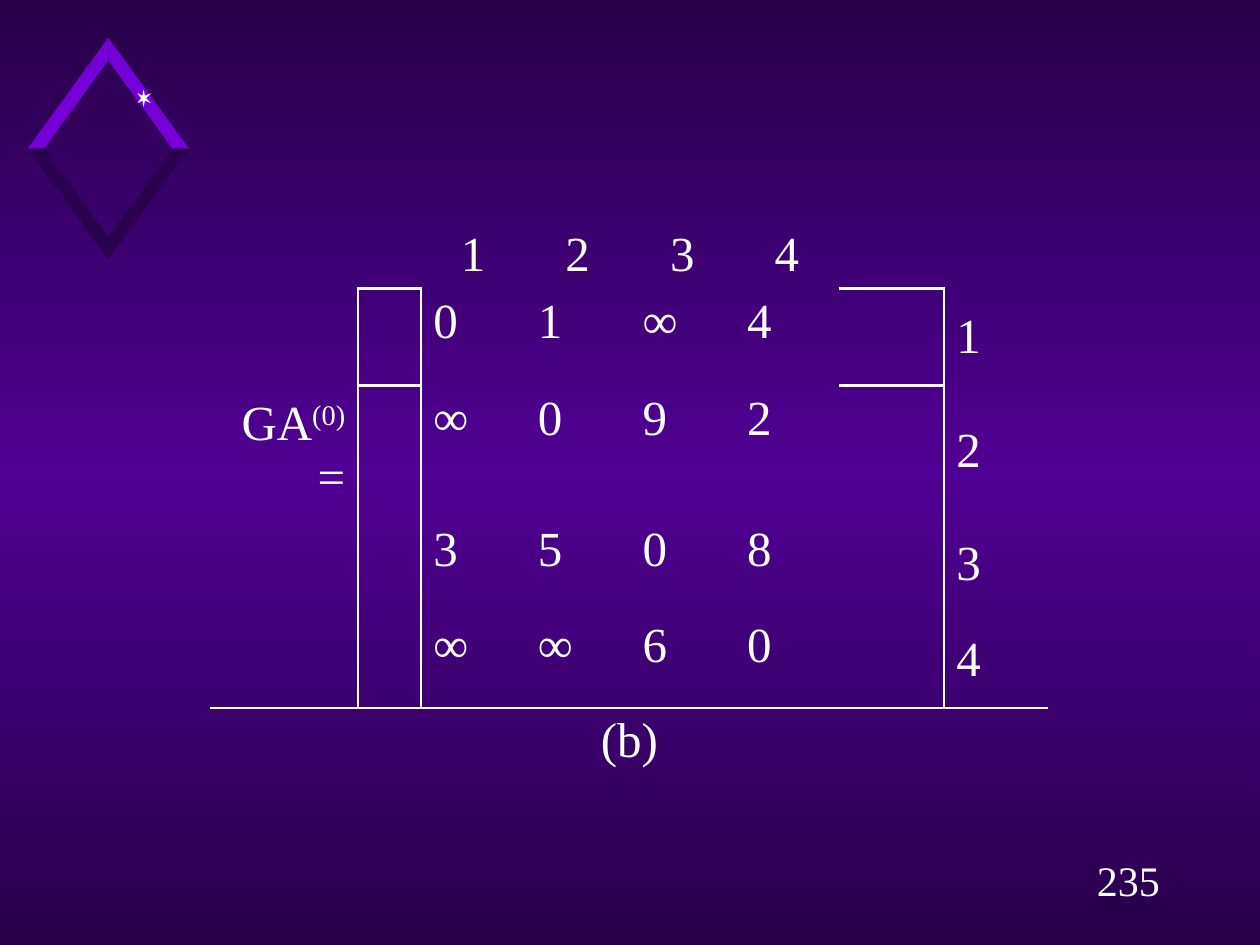
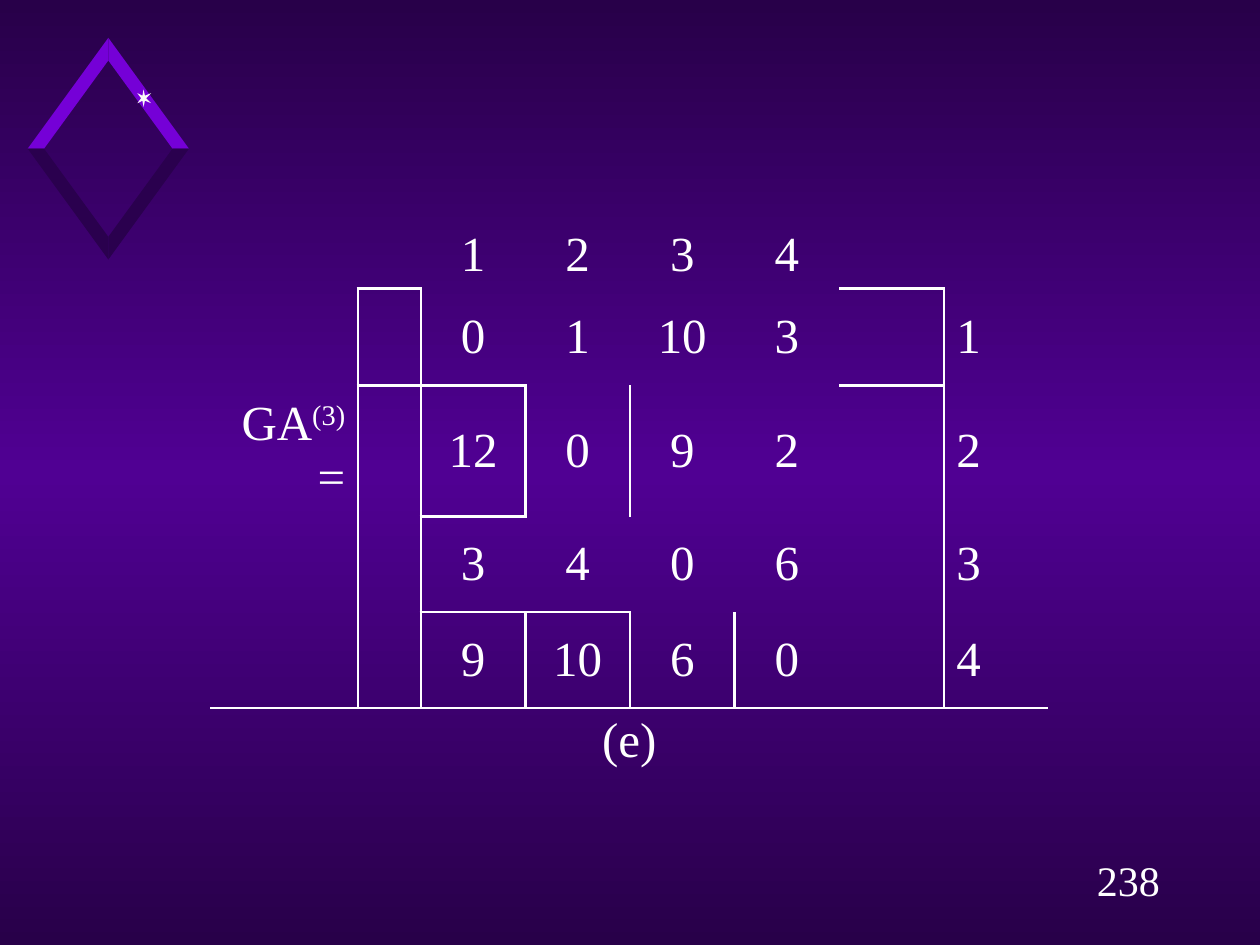
"""Build two slides showing the adjacency matrices GA(0) and GA(3)."""
from collections import defaultdict
from itertools import product

from lxml.etree import SubElement
from pptx import Presentation
from pptx.dml.color import RGBColor
from pptx.enum.text import MSO_ANCHOR as Anchor, PP_ALIGN as Align
from pptx.oxml.ns import qn
from pptx.util import Inches, Pt

COLORS = {
    "edge": "280049",
    "middle": "500093",
    "bright": "7500D7",
    "shade": "2A004E",
    "sparkle": "F9F9F9",
    "text": "FFFFFF",
}
FONT = "Times New Roman"
NO_GRID_STYLE = "{2D5ABB26-0587-4C30-8999-92F81FD0307C}"
COLUMN_WIDTHS = [1.17, 0.5] + [0.83] * 6
ROW_HEIGHTS = [0.76, 0.77, 1.04, 0.76, 0.76, 0.74]
OPPOSITE = {"L": ("R", 0, -1), "R": ("L", 0, 1), "T": ("B", -1, 0), "B": ("T", 1, 0)}

MATRICES = [
    {
        "page": "235", "power": "(0)", "caption": "(b)",
        "values": ["0 1 ∞ 4", "∞ 0 9 2", "3 5 0 8", "∞ ∞ 6 0"],
        "align": Align.LEFT, "anchor": Anchor.TOP, "boxed": [],
    },
    {
        "page": "238", "power": "(3)", "caption": "(e)",
        "values": ["0 1 10 3", "12 0 9 2", "3 4 0 6", "9 10 6 0"],
        "align": Align.CENTER, "anchor": Anchor.MIDDLE, "boxed": [(2, 2), (4, 2), (4, 3)],
    },
]


def write(frame, text, align, size=28):
    para = frame.paragraphs[0]
    para.text = text
    para.alignment = align
    for span in para.runs:
        span.font.name = FONT
        span.font.size = Pt(size)
        span.font.color.rgb = RGBColor.from_string(COLORS["text"])
    return para


def draw_outline(page, points, color):
    corners = [(Inches(x), Inches(y)) for x, y in points]
    builder = page.shapes.build_freeform(*corners[0])
    builder.add_line_segments(corners[1:], close=True)
    shape = builder.convert_to_shape()
    shape.shadow.inherit = False
    shape.fill.solid()
    shape.fill.fore_color.rgb = RGBColor.from_string(COLORS[color])
    shape.line.fill.background()
    return shape


deck = Presentation()
deck.slide_width, deck.slide_height = Inches(10), Inches(7.5)
master = deck.slide_master
blank = deck.slide_layouts[6]
pages = [deck.slides.add_slide(blank) for matrix in MATRICES]

backdrop = master.background.fill
backdrop.gradient()
backdrop.gradient_angle = 270
stops = master.element.find(".//" + qn("a:gsLst"))
for stop in list(stops):
    stops.remove(stop)
for position, color in [(0, "edge"), (50000, "middle"), (100000, "edge")]:
    stop = SubElement(stops, qn("a:gs"), pos=str(position))
    SubElement(stop, qn("a:srgbClr"), val=COLORS[color])

emblem = []
for down, side in product((-1, 1), (1, -1)):
    arm = [(0, 0.7), (0, 0.88), (0.64, 0), (0.51, 0)]
    points = [(0.86 + side * x, 1.18 + down * y) for x, y in arm]
    emblem.append(draw_outline(pages[0], points, "bright" if down < 0 else "shade"))
sparkle = [
    (1.09, 0.74), (1.13, 0.76), (1.14, 0.71), (1.15, 0.76), (1.2, 0.74), (1.16, 0.78),
    (1.2, 0.82), (1.15, 0.8), (1.14, 0.85), (1.13, 0.8), (1.09, 0.82), (1.12, 0.78),
]
emblem.append(draw_outline(pages[0], sparkle, "sparkle"))
for shape in emblem:
    master.shapes.element.append(shape.element)

for page, matrix in zip(pages, MATRICES):
    box = page.shapes.add_textbox(Inches(8.58), Inches(6.73), Inches(0.75), Inches(0.5))
    box.text_frame.word_wrap = True
    write(box.text_frame, matrix["page"], Align.CENTER, 24)

    frame = page.shapes.add_table(
        len(ROW_HEIGHTS), len(COLUMN_WIDTHS), Inches(1.67), Inches(1.53),
        Inches(sum(COLUMN_WIDTHS)), Inches(sum(ROW_HEIGHTS)))
    table = frame.table
    table.first_row = table.horz_banding = False
    frame.element.find(".//" + qn("a:tableStyleId")).text = NO_GRID_STYLE
    for column, width in zip(table.columns, COLUMN_WIDTHS):
        column.width = Inches(width)
    for row, height in zip(table.rows, ROW_HEIGHTS):
        row.height = Inches(height)
    table.cell(5, 0).merge(table.cell(5, 7))

    contents = {(5, 0): (matrix["caption"], Align.CENTER, Anchor.TOP)}
    for index, values in enumerate(matrix["values"], start=1):
        contents[0, index + 1] = (str(index), Align.CENTER, Anchor.BOTTOM)
        contents[index, 7] = (str(index), Align.LEFT, Anchor.MIDDLE)
        for column, value in enumerate(values.split(), start=2):
            contents[index, column] = (value, matrix["align"], matrix["anchor"])
    for place, (text, align, anchor) in contents.items():
        cell = table.cell(*place)
        cell.vertical_anchor = anchor
        write(cell.text_frame, text, align)

    name_cell = table.cell(2, 0)
    name_cell.vertical_anchor = Anchor.MIDDLE
    para = name_cell.text_frame.paragraphs[0]
    for part in ("GA", matrix["power"], "="):
        para.add_run().text = part
    for span in para.runs:
        span.font.name = FONT
        span.font.size = Pt(28)
        span.font.color.rgb = RGBColor.from_string(COLORS["text"])
    para.runs[1].font._element.set("baseline", "30000")
    para.alignment = Align.RIGHT

    rules = [(row, column, side) for row in range(1, 5) for column, side in [(1, "L"), (6, "R")]]
    rules += [(1, column, "T") for column in (1, 6)]
    rules += [(5, column, "T") for column in range(8)]
    rules += [(row, column, side) for row, column in matrix["boxed"] for side in "LRTB"]
    borders = defaultdict(set)
    for row, column, side in rules:
        facing, down, across = OPPOSITE[side]
        borders[row, column].add(side)
        borders[row + down, column + across].add(facing)

    for place in product(range(len(ROW_HEIGHTS)), range(len(COLUMN_WIDTHS))):
        cell = table.cell(*place)
        properties = cell._tc.get_or_add_tcPr()
        for side in "LRTB":
            if side in borders[place]:
                line = SubElement(properties, qn("a:ln" + side), w=str(Pt(1.47)))
                fill = SubElement(line, qn("a:solidFill"))
                SubElement(fill, qn("a:srgbClr"), val=COLORS["text"])
        cell.fill.background()

deck.save("out.pptx")
